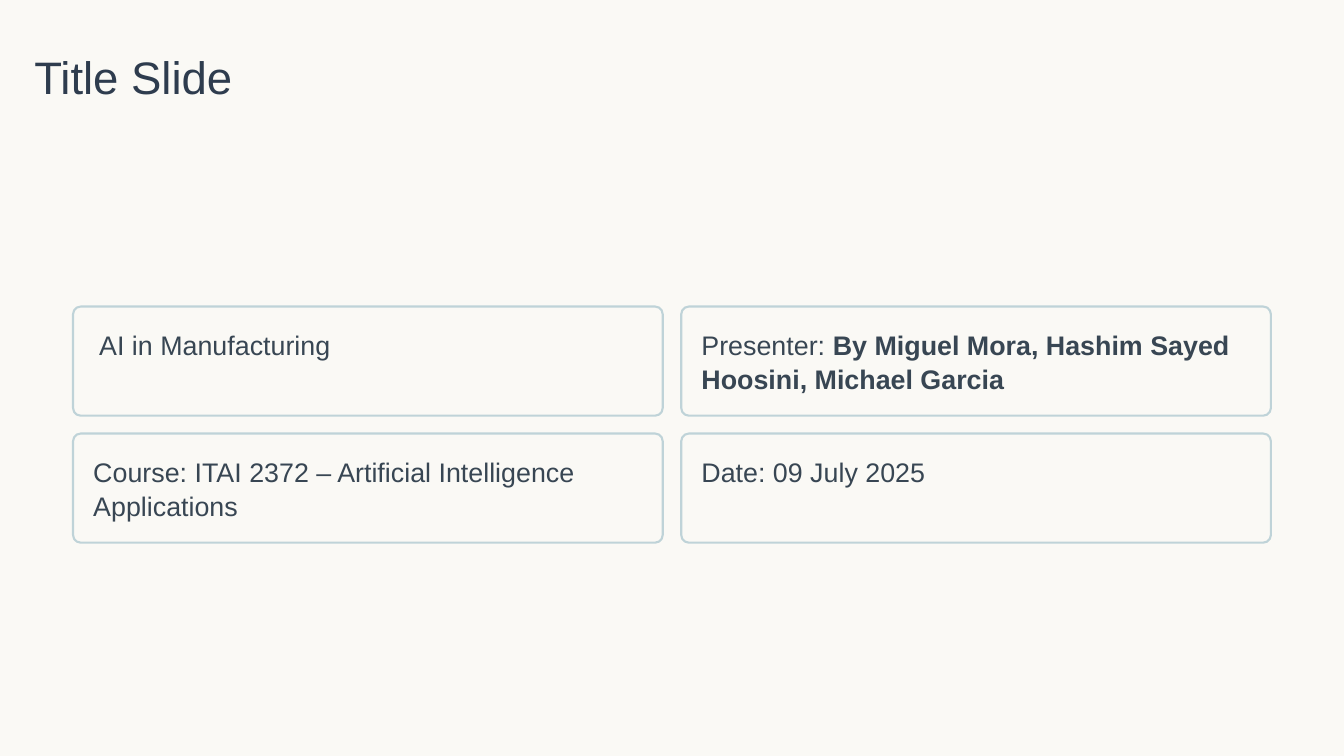
from pptx import Presentation
from pptx.dml.color import RGBColor
from pptx.enum.shapes import MSO_SHAPE
from pptx.enum.text import MSO_ANCHOR
from pptx.util import Cm, Pt

ROUNDED = MSO_SHAPE.ROUNDED_RECTANGLE
TOP = MSO_ANCHOR.TOP
CREAM = RGBColor(0xFA, 0xF9, 0xF5)
NAVY = RGBColor(0x2E, 0x3C, 0x4E)
SLATE = RGBColor(0x38, 0x46, 0x53)
MIST = RGBColor(0xBF, 0xD3, 0xD8)

CARD_LEFT, CARD_TOP = 2.21, 9.27
CARD_W, CARD_H = 17.83, 3.3
STEP_X, STEP_Y = 18.39, 3.84
PAD = 0.61

CARDS = [
    [(" AI in Manufacturing", False)],
    [("Presenter: ", False),
     ("By Miguel Mora, Hashim Sayed Hoosini, Michael Garcia", True)],
    [("Course: ITAI 2372 – Artificial Intelligence Applications", False)],
    [("Date: 09 July 2025", False)],
]


class SlideBuilder:
    font = "Arial"

    def __init__(self, prs):
        self.slide = prs.slides.add_slide(prs.slide_layouts[6])

    def background(self, color):
        fill = self.slide.background.fill
        fill.solid()
        fill.fore_color.rgb = color

    def text(self, left, top, width, height, runs, size, leading, color):
        sp = self.slide.shapes.add_textbox(Cm(left), Cm(top), Cm(width), Cm(height))
        tf = sp.text_frame
        tf.word_wrap = True
        tf.vertical_anchor = TOP
        tf.margin_left = tf.margin_top = tf.margin_right = tf.margin_bottom = 0
        p = tf.paragraphs[0]
        p.line_spacing = Pt(leading)
        for content, bold in runs:
            r = p.add_run()
            r.text = content
            r.font.name = self.font
            r.font.size = Pt(size)
            r.font.bold = bold
            r.font.color.rgb = color

    def card(self, left, top, runs):
        sp = self.slide.shapes.add_shape(
            ROUNDED, Cm(left), Cm(top), Cm(CARD_W), Cm(CARD_H))
        sp.adjustments[0] = 0.07
        sp.shadow.inherit = False
        sp.fill.background()
        sp.line.color.rgb = MIST
        sp.line.width = Pt(1.8)
        self.text(left + PAD, top + PAD, CARD_W - 2 * PAD, CARD_H - 2 * PAD,
                  runs, 23, 29, SLATE)


def main():
    prs = Presentation()
    prs.slide_width = Cm(40.64)
    prs.slide_height = Cm(22.86)
    s = SlideBuilder(prs)
    s.background(CREAM)
    s.text(1.04, 1.42, 13.79, 1.73, [("Title Slide", False)], 39, 48.5, NAVY)
    for i, runs in enumerate(CARDS):
        row, col = divmod(i, 2)
        s.card(CARD_LEFT + col * STEP_X, CARD_TOP + row * STEP_Y, runs)
    prs.save("out.pptx")


if __name__ == "__main__":
    main()
